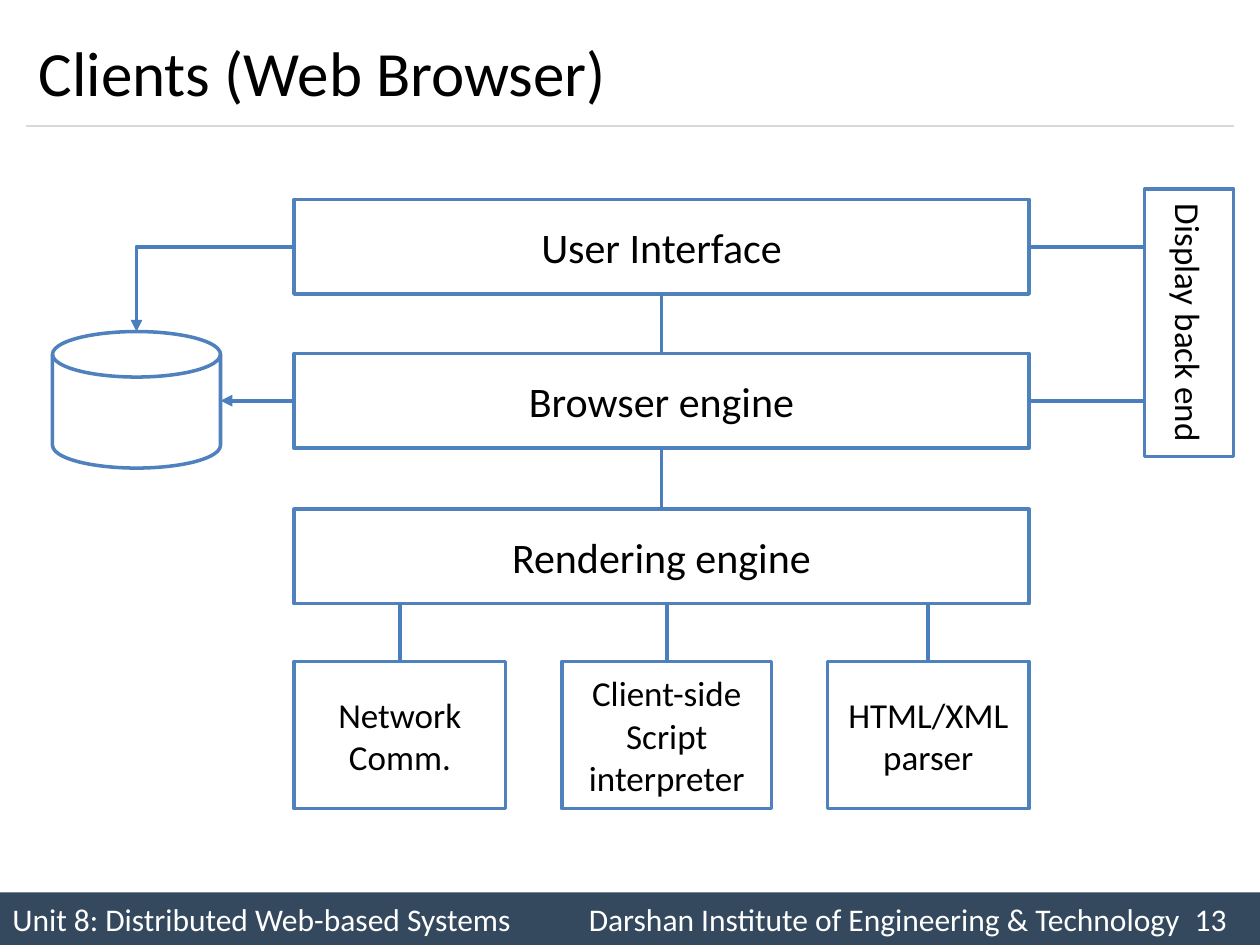
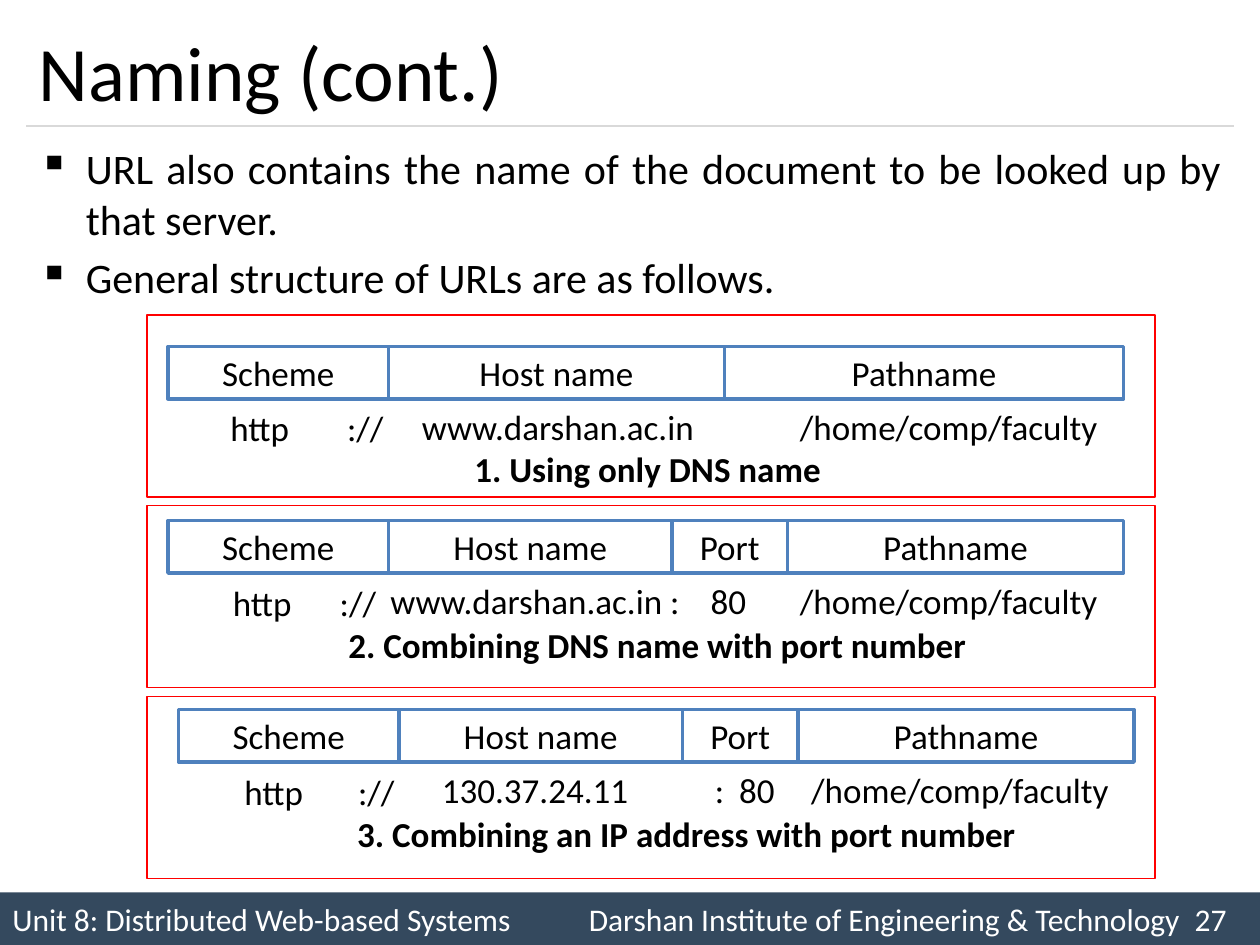
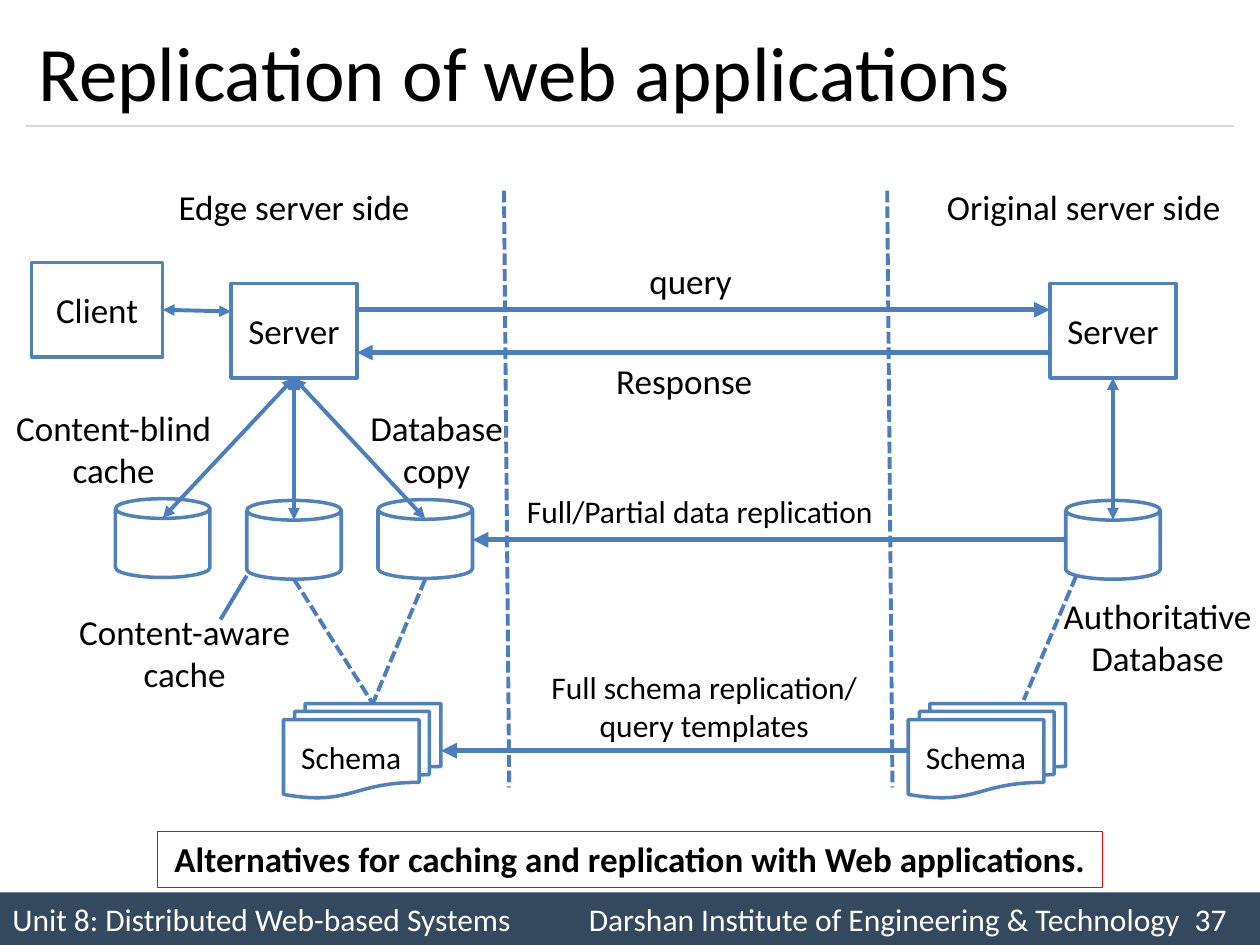
from dataclasses import dataclass
from itertools import accumulate
from typing import NamedTuple

from lxml import etree
from pptx import Presentation
from pptx.dml.color import RGBColor
from pptx.enum.dml import MSO_LINE
from pptx.enum.shapes import MSO_CONNECTOR, MSO_SHAPE
from pptx.enum.text import MSO_ANCHOR, PP_ALIGN
from pptx.oxml.ns import qn
from pptx.util import Pt

RECT, CAN = MSO_SHAPE.RECTANGLE, MSO_SHAPE.CAN
DISK, DOCS = MSO_SHAPE.FLOWCHART_MAGNETIC_DISK, MSO_SHAPE.FLOWCHART_MULTIDOCUMENT
STRAIGHT, ELBOW = MSO_CONNECTOR.STRAIGHT, MSO_CONNECTOR.ELBOW
LEFT, CENTER, JUSTIFY = PP_ALIGN.LEFT, PP_ALIGN.CENTER, PP_ALIGN.JUSTIFY
TOP, MIDDLE = MSO_ANCHOR.TOP, MSO_ANCHOR.MIDDLE
DASH = MSO_LINE.SQUARE_DOT
TOP_SIDE, LEFT_SIDE, BOTTOM_SIDE, RIGHT_SIDE = range(4)


@dataclass(frozen=True)
class Theme:
    """Colours, font and type sizes of the deck."""
    font: str = "Calibri"
    ink: str = "000000"
    paper: str = "FFFFFF"
    band: str = "34495E"
    rule: str = "D9D9D9"
    outline: str = "4F81BD"
    link: str = "4B7EBC"
    frame: str = "FF0000"
    title: int = 44
    long_title: int = 36
    body: int = 24
    label: int = 20
    small: int = 18


T = Theme()


class Box(NamedTuple):
    """Place of a shape, in points."""
    x: float
    y: float
    w: float
    h: float


class Node(NamedTuple):
    """An outlined shape with its text."""
    box: Box
    text: str = ""
    size: int = T.label
    kind: int = RECT


class Label(NamedTuple):
    """Free text at a place."""
    box: Box
    text: str
    align: int = CENTER
    size: int = T.label


class Link(NamedTuple):
    """A line between two points, with optional joins (shape, side)."""
    start: tuple
    end: tuple
    head: bool = False
    tail: bool = False
    width: float = 2.25
    dashed: bool = False
    begin_at: tuple | None = None
    end_at: tuple | None = None


class Piece(NamedTuple):
    """Part of a sample URL, its tabs measured from the text edge."""
    text: str
    x: float
    indent: float = 0
    tabs: tuple = ()


class Example(NamedTuple):
    """One URL structure: named fields, sample and caption."""
    x: float
    y: float
    fields: tuple
    pieces: tuple
    caption: str
    caption_box: Box


def rgb(color: str) -> RGBColor:
    """Turn a hex string into a colour."""
    return RGBColor.from_string(color)


def write(tf, text: str, *, size: int = T.label, color: str = T.ink, bold: bool = False,
          align: int = LEFT, anchor: int = TOP, wrap: bool = True, bullet: str = "",
          indent: float = 0, gap: float = 0, tabs: tuple = ()) -> None:
    """Fill a text frame, one paragraph for each line of text."""
    tf.word_wrap, tf.vertical_anchor = wrap, anchor
    for i, line in enumerate(text.split("\n")):
        p = tf.add_paragraph() if i else tf.paragraphs[0]
        p.alignment = align
        pPr = p._p.get_or_add_pPr()
        if indent:
            pPr.set("marL", str(Pt(indent)))
        if bullet:
            pPr.set("indent", str(-Pt(indent)))
            etree.SubElement(pPr, qn("a:buChar"), char=bullet)
        if tabs:
            tab_list = etree.SubElement(pPr, qn("a:tabLst"))
            for pos in tabs:
                etree.SubElement(tab_list, qn("a:tab"), pos=str(Pt(pos)), algn="l")
        if i and gap:
            p.space_before = Pt(gap)
        r = p.add_run()
        r.text = line
        r.font.name, r.font.size, r.font.bold = T.font, Pt(size), bold
        r.font.color.rgb = rgb(color)


def add_shape(s, box: Box, *, kind: int = RECT, fill: str = T.paper,
              line: str = T.outline, width: float = 2):
    """Add a preset shape; an empty colour means none."""
    sp = s.shapes.add_shape(kind, *map(Pt, box))
    sp.shadow.inherit = False
    if fill:
        sp.fill.solid()
        sp.fill.fore_color.rgb = rgb(fill)
    else:
        sp.fill.background()
    if line:
        sp.line.color.rgb = rgb(line)
        sp.line.width = Pt(width)
    else:
        sp.line.fill.background()
    return sp


def add_node(s, node: Node):
    """Draw an outlined shape with centred text."""
    sp = add_shape(s, node.box, kind=node.kind)
    if node.text:
        write(sp.text_frame, node.text, size=node.size, align=CENTER, anchor=MIDDLE)
    return sp


def add_text(s, box: Box, text: str, **fmt) -> None:
    """Add a text box."""
    write(s.shapes.add_textbox(*map(Pt, box)).text_frame, text, **fmt)


def add_label(s, label: Label) -> None:
    """Draw free text that does not wrap."""
    add_text(s, label.box, label.text, size=label.size, align=label.align, wrap=False)


def add_link(s, link: Link, *, kind: int = STRAIGHT, color: str = T.link):
    """Draw a connector with its joins, dash and arrowheads."""
    cx = s.shapes.add_connector(kind, *map(Pt, link.start + link.end))
    if link.begin_at:
        cx.begin_connect(*link.begin_at)
    if link.end_at:
        cx.end_connect(*link.end_at)
    cx.line.color.rgb = rgb(color)
    cx.line.width = Pt(link.width)
    if link.dashed:
        cx.line.dash_style = DASH
    spPr = cx.element.spPr
    for tag, shown in (("a:headEnd", link.head), ("a:tailEnd", link.tail)):
        if shown:
            etree.SubElement(spPr.find(qn("a:ln")), qn(tag), type="triangle")
    etree.SubElement(spPr, qn("a:effectLst"))
    return cx


def new_slide(prs, title: str, number: int, size: int = T.title):
    """Add a slide with its title, rule and footer band."""
    s = prs.slides.add_slide(prs.slide_layouts[6])
    band = add_shape(s, Box(0, 510, 720, 30), fill=T.band, line="")
    write(band.text_frame,
          "Unit 8: Distributed Web-based Systems\t"
          f"Darshan Institute of Engineering & Technology\t{number}",
          size=T.small, color=T.paper, anchor=MIDDLE, tabs=(329.4, 675.6))
    add_link(s, Link((15, 72), (705, 72), width=0.75), color=T.rule)
    add_text(s, Box(15, 9, 690, 63), title, size=size, anchor=MIDDLE)
    return s


def browser_slide(prs) -> None:
    """Build the layers of a web browser."""
    s = new_slide(prs, "Clients (Web Browser)", 13, T.long_title)
    ui, engine, renderer = (
        add_node(s, Node(Box(168, y, 420, 54), text, T.body))
        for y, text in ((114, "User Interface"), (202, "Browser engine"),
                        (291, "Rendering engine")))
    add_node(s, Node(Box(30, 189.5, 96, 78), kind=DISK))
    display = add_node(s, Node(Box(654, 108, 51, 153), "Display back end"))
    display.element.find(".//" + qn("a:bodyPr")).set("vert", "vert")

    for upper, lower in ((ui, engine), (engine, renderer)):
        add_link(s, Link((378, 0), (378, 0), begin_at=(upper, BOTTOM_SIDE),
                         end_at=(lower, TOP_SIDE)))
    for x, w, text in ((168, 121, "Network\nComm."),
                       (321, 120, "Client-side\nScript\ninterpreter"),
                       (473, 115, "HTML/XML\nparser")):
        part = add_node(s, Node(Box(x, 378, w, 84), text))
        middle = x + w / 2
        add_link(s, Link((middle, 345), (middle, 378), end_at=(part, TOP_SIDE)))
    for layer, y in ((ui, 141), (engine, 229)):
        add_link(s, Link((588, y), (654, y), begin_at=(layer, RIGHT_SIDE)))
    add_link(s, Link((168, 229), (126, 229), tail=True, begin_at=(engine, LEFT_SIDE)))
    bend = add_link(s, Link((168, 141), (78, 189.5), tail=True), kind=ELBOW)
    bend.element.spPr.find(qn("a:prstGeom")).set("prst", "bentConnector2")


def add_example(s, example: Example, frame: Box) -> None:
    """Draw one URL structure in its frame."""
    names, widths = zip(*example.fields)
    for name, w, x in zip(names, widths, accumulate(widths, initial=example.x)):
        add_node(s, Node(Box(x, example.y, w, 30), name))
    for i, piece in enumerate(example.pieces):
        y = example.y + (30 if i else 31)
        w = 230 if i else 126
        add_text(s, Box(piece.x, y, w, 32), piece.text,
                 indent=piece.indent, tabs=piece.tabs)
    add_text(s, example.caption_box, example.caption, bold=True, wrap=False)
    add_shape(s, frame, fill="", line=T.frame, width=0.75)


def naming_slide(prs) -> None:
    """Build the three URL structures."""
    s = new_slide(prs, "Naming (cont.)", 27)
    add_text(s, Box(15, 78, 690, 102),
             "URL also contains the name of the document to be looked up by that server.\n"
             "General structure of URLs are as follows.",
             size=T.body, align=JUSTIFY, bullet="▪", indent=27, gap=4.8)
    page = "/home/comp/faculty"
    host = "www.darshan.ac.in"
    with_port = (("Scheme", 126), ("Host name", 162), ("Port", 66), ("Pathname", 192))
    examples = (
        Example(96, 198, (("Scheme", 126), ("Host name", 192), ("Pathname", 228)),
                (Piece("http\t://", 102, 22.6, (81,)), Piece(host, 234), Piece(page, 450)),
                "1. Using only DNS name", Box(264, 252, 215, 32)),
        Example(96, 297.5, with_port,
                (Piece("http\t://", 126, 0, (61,)),
                 Piece(f"{host} :\t80", 216, 0, (183,)), Piece(page, 450)),
                "2. Combining DNS name with port number", Box(192, 353, 373, 32)),
        Example(102, 405.5, with_port,
                (Piece("http\t://", 132.5, 0, (65,)),
                 Piece("130.37.24.11\t:\t80", 222.5, 23, (156, 183.5)), Piece(page, 456.5)),
                "3. Combining an IP address with port number", Box(197, 461, 394, 32)))
    for i, example in enumerate(examples):
        add_example(s, example, Box(84, 180 + 109 * i, 576, 104))


def replication_slide(prs) -> None:
    """Build the edge and original server sides."""
    s = new_slide(prs, "Replication of web applications", 37)
    summary = add_shape(s, Box(90, 475, 540, 32), fill="", line=T.frame, width=0.75)
    write(summary.text_frame,
          "Alternatives for caching and replication with Web applications.",
          bold=True, align=CENTER)
    edge, client, origin = (
        add_node(s, node) for node in (
            Node(Box(132, 162, 72, 54), "Server"),
            Node(Box(18, 150, 75, 54), "Client"),
            Node(Box(600, 162, 72, 54), "Server")))
    for x, y, server in ((66, 285, edge), (141, 286, edge), (216, 285.5, edge),
                         (609, 286, origin)):
        add_node(s, Node(Box(x, y, 54, 45), kind=CAN))
        add_link(s, Link((x + 27, 216), (x + 27, y + 11), head=True, tail=True,
                         begin_at=(server, BOTTOM_SIDE)))
    add_link(s, Link((132, 178), (93, 177), head=True, tail=True,
                     end_at=(client, RIGHT_SIDE)))
    for x in (162, 519):
        add_node(s, Node(Box(x, 402, 90, 54), "Schema", T.small, DOCS))

    for start, end in (((168, 331), (213, 402)), ((243, 331), (213, 402)),
                       ((615, 329), (585, 400)), ((288, 109), (291, 450)),
                       ((507, 109), (510, 450))):
        add_link(s, Link(start, end, dashed=True))
    for x1, x2, y in ((204, 600, 177), (600, 204, 201.5), (609, 270, 308.5),
                      (519, 252, 429)):
        add_link(s, Link((x1, y), (x2, y), tail=True, width=3))
    add_link(s, Link((141, 329), (126, 354)))

    for label in (
            Label(Box(534, 102.5, 173, 32), "Original server side", LEFT),
            Label(Box(95, 102.5, 153, 32), "Edge server side", LEFT),
            Label(Box(364, 145, 62, 32), "query", LEFT),
            Label(Box(345, 202, 93, 32), "Response", LEFT),
            Label(Box(600, 336, 123, 56), "Authoritative\nDatabase"),
            Label(Box(294, 277.5, 214, 29), "Full/Partial data replication", LEFT, T.small),
            Label(Box(307, 378, 191, 51), "Full schema replication/\nquery templates",
                  size=T.small),
            Label(Box(204, 228.5, 91, 56), "Database\ncopy"),
            Label(Box(1.5, 229, 127, 56), "Content-blind\ncache"),
            Label(Box(37, 345.5, 137, 56), "Content-aware\ncache")):
        add_label(s, label)


def main() -> None:
    """Build the deck and save it."""
    prs = Presentation()
    prs.slide_width, prs.slide_height = Pt(720), Pt(540)
    browser_slide(prs)
    naming_slide(prs)
    replication_slide(prs)
    prs.save("out.pptx")


if __name__ == "__main__":
    main()
